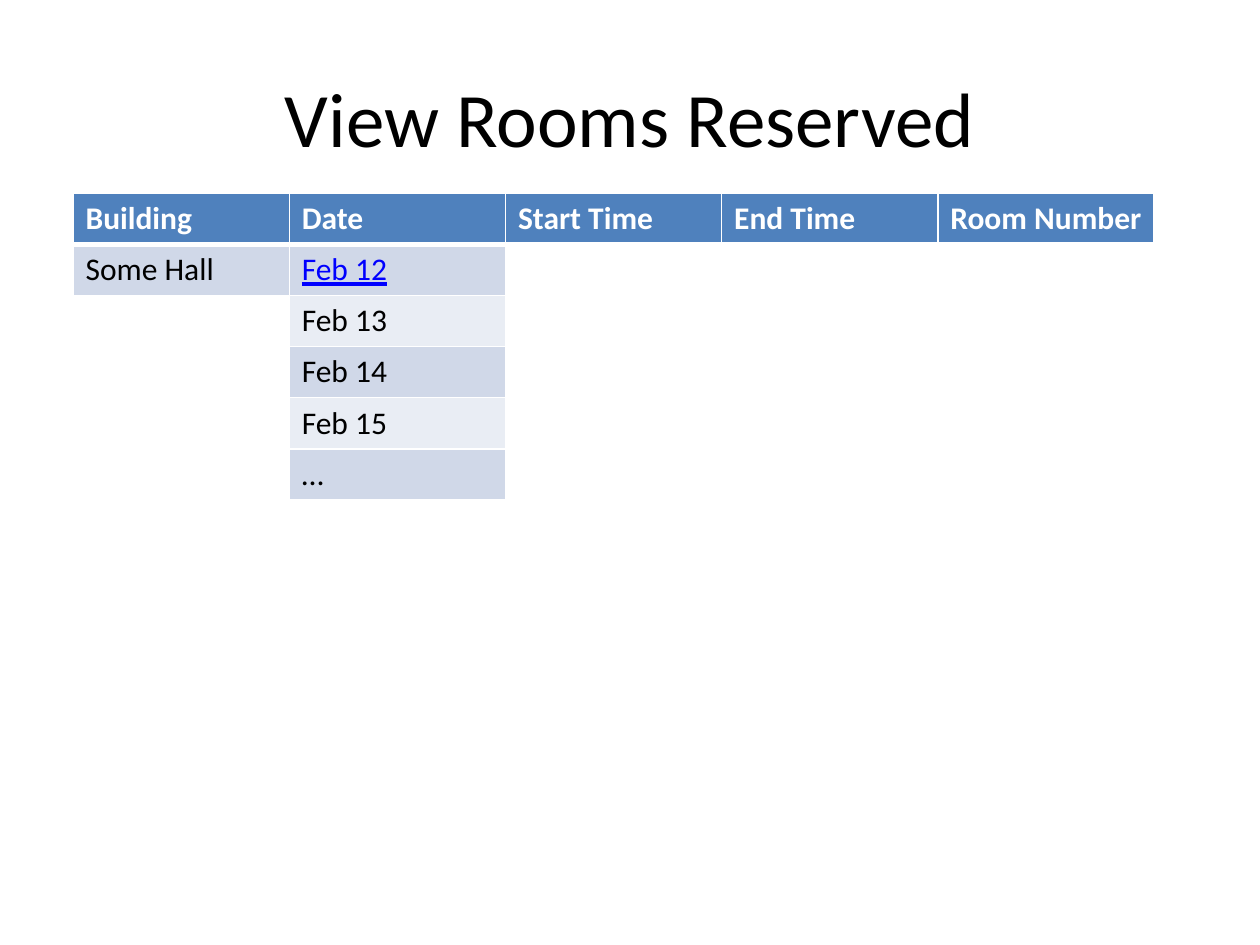
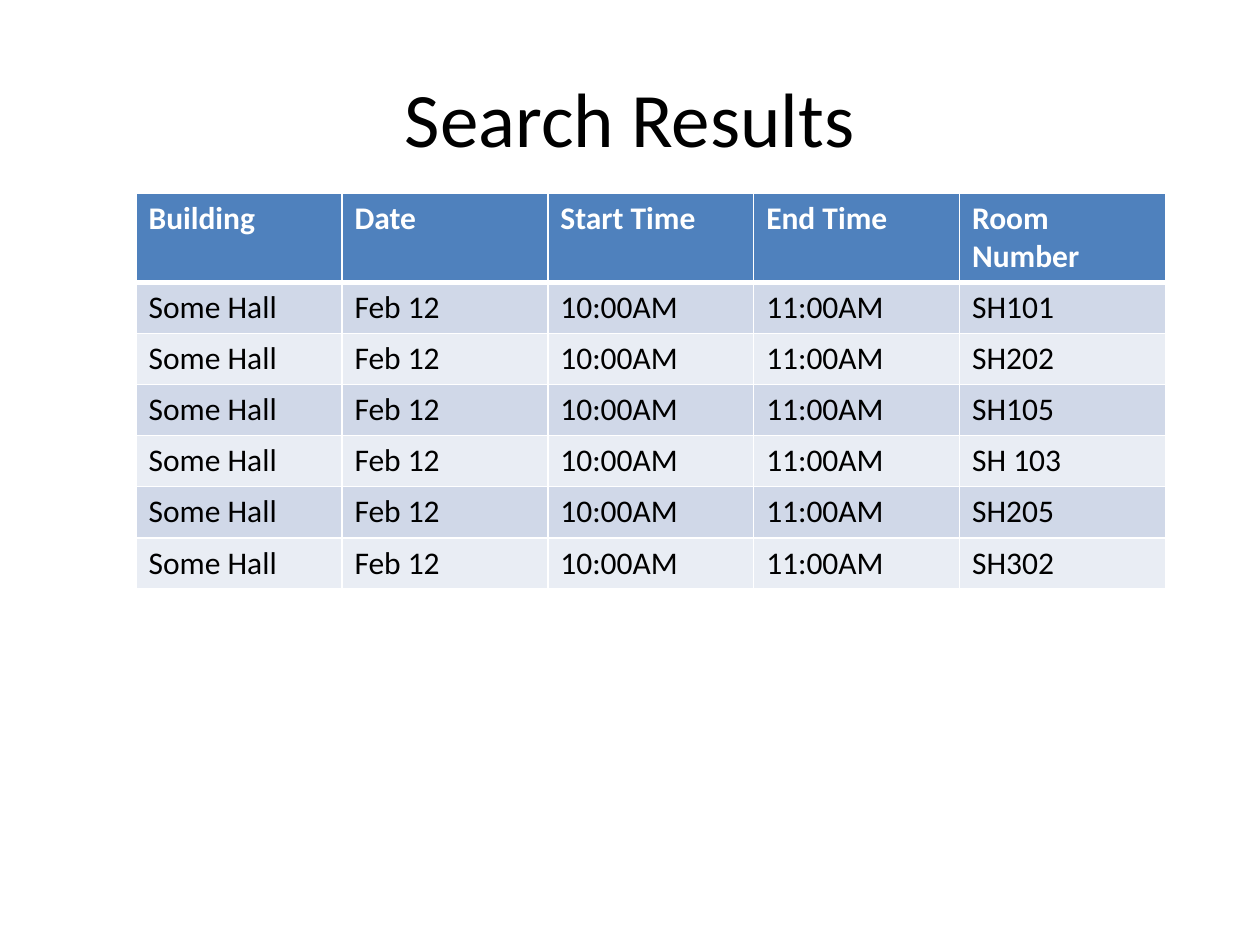
from dataclasses import dataclass

from lxml import etree
from pptx import Presentation
from pptx import util as u
from pptx.dml.color import RGBColor
from pptx.enum import text
from pptx.oxml.ns import qn

COLORS = {
    "header": "4F81BD",
    "band_dark": "D0D8E8",
    "band_light": "E9EDF4",
    "white": "FFFFFF",
    "black": "000000",
    "link": "0000FF",
}
FONT = "Calibri"
TITLE_BOX = (0.5, 0.3, 9, 1.25)
TABLE_TOP = 1.53
HEADINGS = ("Building", "Date", "Start Time", "End Time", "Room Number")
ROOMS = ("SH101", "SH202", "SH105", "SH 103", "SH205", "SH302")
DATES = ("Feb 12", "Feb 13", "Feb 14", "Feb 15", "…")


@dataclass(frozen=True)
class Merge:
    first: tuple[int, int]
    last: tuple[int, int]


@dataclass(frozen=True)
class RoomPage:
    title: str
    left: float
    width: float
    height: float
    header_height: float
    rows: tuple[tuple[str, ...], ...]
    merges: tuple[Merge, ...] = ()
    links: tuple[tuple[int, int], ...] = ()


PAGES = (
    RoomPage(
        title="View Rooms Reserved",
        left=0.58, width=8.58, height=2.43, header_height=0.41,
        rows=tuple(
            ("" if index else "Some Hall", date, "", "", "")
            for index, date in enumerate(DATES)
        ),
        merges=(Merge((1, 2), (5, 4)), Merge((2, 0), (5, 0))),
        links=((1, 1),),
    ),
    RoomPage(
        title="Search Results",
        left=1.08, width=8.17, height=3.13, header_height=0.7,
        rows=tuple(
            ("Some Hall", "Feb 12", "10:00AM", "11:00AM", room) for room in ROOMS
        ),
    ),
)


def write(paragraph, words: str, color: str, **formats) -> None:
    span = paragraph.add_run()
    span.text = words
    span.font.color.rgb = RGBColor.from_string(COLORS[color])
    for name, value in {"name": FONT, **formats}.items():
        setattr(span.font, name, value)


def add_title(page, words: str) -> None:
    box = page.shapes.title
    for name, value in zip(("left", "top", "width", "height"), TITLE_BOX):
        setattr(box, name, u.Inches(value))
    box.text_frame.vertical_anchor = text.MSO_ANCHOR.MIDDLE
    para = box.text_frame.paragraphs[0]
    para.alignment = text.PP_ALIGN.CENTER
    write(para, words, "black", size=u.Pt(44))


def add_borders(cell, bottom: float) -> None:
    properties = cell._tc.get_or_add_tcPr()
    for side, points in {"L": 1, "R": 1, "T": 1, "B": bottom}.items():
        line = etree.SubElement(properties, qn(f"a:ln{side}"), w=str(u.Pt(points)))
        fill = etree.SubElement(line, qn("a:solidFill"))
        etree.SubElement(fill, qn("a:srgbClr"), val=COLORS["white"])


def format_cell(cell, words: str, row: int, is_link: bool) -> None:
    is_header = row == 0
    add_borders(cell, bottom=3 if is_header else 1)
    if not words:
        cell.fill.background()
        return
    band = "band_dark" if row % 2 else "band_light"
    cell.fill.solid()
    cell.fill.fore_color.rgb = RGBColor.from_string(
        COLORS["header" if is_header else band]
    )
    color = "white" if is_header else "link" if is_link else "black"
    write(cell.text_frame.paragraphs[0], words, color,
          size=u.Pt(18), bold=is_header, underline=is_link)


def add_room_table(page, plan: RoomPage) -> None:
    lines = (HEADINGS, *plan.rows)
    table = page.shapes.add_table(
        len(lines), len(HEADINGS), u.Inches(plan.left), u.Inches(TABLE_TOP),
        u.Inches(plan.width), u.Inches(plan.height),
    ).table
    body_height = (plan.height - plan.header_height) / len(plan.rows)
    for index, row in enumerate(table.rows):
        row.height = u.Inches(body_height if index else plan.header_height)
    for row, line in enumerate(lines):
        for column, words in enumerate(line):
            format_cell(table.cell(row, column), words, row,
                        (row, column) in plan.links)
    for merge in plan.merges:
        table.cell(*merge.first).merge(table.cell(*merge.last))


def main() -> None:
    deck = Presentation()
    deck.slide_width = u.Inches(10)
    deck.slide_height = u.Inches(7.5)
    title_only = deck.slide_layouts.get_by_name("Title Only")
    for plan in PAGES:
        page = deck.slides.add_slide(title_only)
        add_title(page, plan.title)
        add_room_table(page, plan)
    deck.save("out.pptx")


main()
